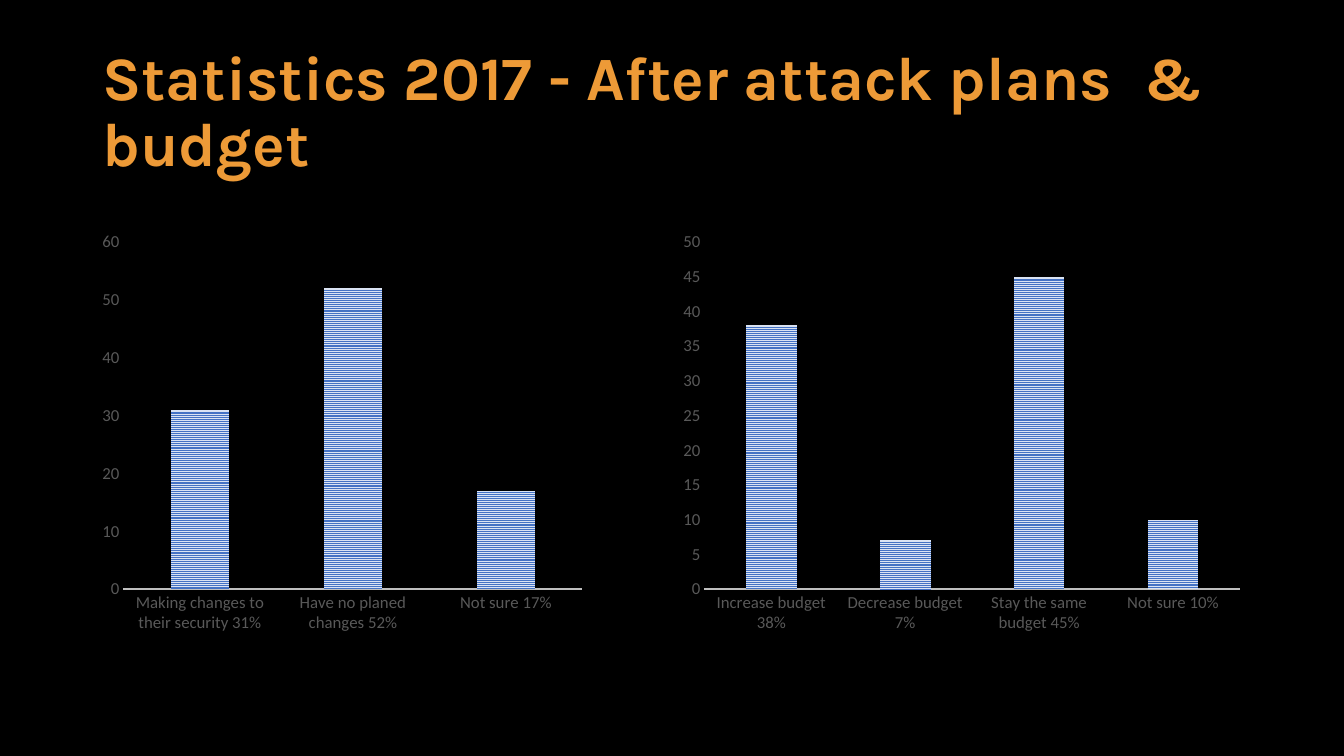
from pptx import Presentation, util as u
from pptx.chart.data import CategoryChartData
from pptx.dml.color import RGBColor
from pptx.enum import chart as ch, dml, text

COLORS = {
    "background": "000000",
    "title": "ED9A37",
    "label": "595959",
    "axis": "BFBFBF",
    "stripe": "4472C4",
    "stripe_back": "DAE3F3",
}
LEFT, CHART_TOP, CHART_HEIGHT = 2.33, 5.64, 10.52


def color(name):
    return RGBColor.from_string(COLORS[name])


class StatisticsSlide:
    title_font = "Karla"
    chart_font = "Calibri"

    def __init__(self, deck):
        self.slide = deck.slides.add_slide(deck.slide_layouts[6])
        fill = self.slide.background.fill
        fill.solid()
        fill.fore_color.rgb = color("background")

    def title(self, wording, left, top, width, height):
        heading = self.slide.shapes.add_textbox(*map(u.Cm, (left, top, width, height)))
        frame = heading.text_frame
        frame.word_wrap = True
        frame.vertical_anchor = text.MSO_ANCHOR.MIDDLE
        line = frame.paragraphs[0]
        line.line_spacing = 0.9
        run = line.add_run()
        run.text = wording
        run.font.name = self.title_font
        run.font.size = u.Pt(44)
        run.font.bold = True
        run.font.color.rgb = color("title")

    def style_axis(self, axis):
        axis.has_major_gridlines = False
        axis.major_tick_mark = axis.minor_tick_mark = ch.XL_TICK_MARK.NONE
        font = axis.tick_labels.font
        font.name = self.chart_font
        font.size = u.Pt(12)
        font.color.rgb = color("label")

    def columns(self, answers, left, width, top_value, step):
        data = CategoryChartData()
        data.categories = list(answers)
        data.add_series("Series 1", answers.values())
        chart = self.slide.shapes.add_chart(
            ch.XL_CHART_TYPE.COLUMN_CLUSTERED,
            *map(u.Cm, (left, CHART_TOP, width, CHART_HEIGHT)), data).chart
        chart.has_title = False
        chart.has_legend = False
        chart.font.name = self.chart_font
        chart.font.size = u.Pt(10)

        answer_axis, percent_axis = chart.category_axis, chart.value_axis
        for axis in (answer_axis, percent_axis):
            self.style_axis(axis)
        answer_axis.format.line.color.rgb = color("axis")
        answer_axis.format.line.width = u.Pt(1.5)
        percent_axis.format.line.fill.background()
        percent_axis.minimum_scale = 0
        percent_axis.maximum_scale = top_value
        percent_axis.major_unit = step

        plot = chart.plots[0]
        plot.vary_by_categories = False
        plot.gap_width = 164
        plot.overlap = -22
        stripes = plot.series[0].format.fill
        stripes.patterned()
        stripes.pattern = dml.MSO_PATTERN.NARROW_HORIZONTAL
        stripes.fore_color.rgb = color("stripe")
        stripes.back_color.rgb = color("stripe_back")


def main():
    deck = Presentation()
    deck.slide_width, deck.slide_height = u.Cm(33.87), u.Cm(19.05)
    page = StatisticsSlide(deck)
    page.title("Statistics 2017 - After attack plans  & budget", LEFT, 1.02, 29.21, 3.68)

    plans = {
        "Making changes to their security 31%": 31,
        "Have no planed changes 52%": 52,
        "Not sure 17%": 17,
    }
    budget = {
        "Increase budget 38%": 38,
        "Decrease budget 7%": 7,
        "Stay the same budget 45%": 45,
        "Not sure 10%": 10,
    }
    page.columns(plans, LEFT, 12.6, top_value=60, step=10)
    page.columns(budget, 16.93, 14.61, top_value=50, step=5)
    deck.save("out.pptx")


if __name__ == "__main__":
    main()
